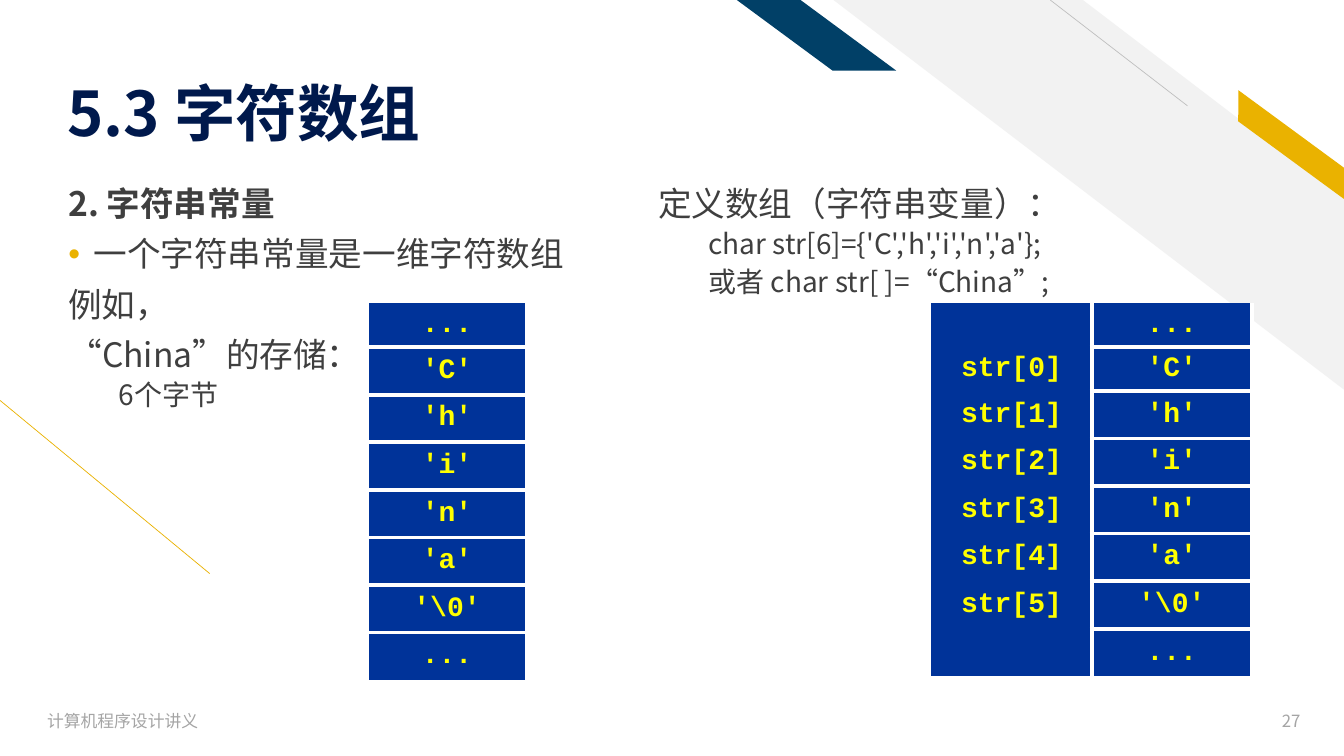
from dataclasses import dataclass
from typing import Any, Optional

from lxml import etree
from pptx import Presentation
from pptx.dml.color import RGBColor
from pptx.enum.lang import MSO_LANGUAGE_ID as Language
from pptx.enum.shapes import MSO_CONNECTOR as Connector, MSO_SHAPE as Preset
from pptx.enum.text import MSO_ANCHOR as Anchor, PP_ALIGN as Align
from pptx.oxml.ns import qn
from pptx.util import Pt

SANS, MONO = "Noto Sans CJK SC", "Courier New"
NAVY, GOLD, GREY, BODY = "00194C", "EAB200", "A5A5A5", "3F3F3F"
BLUE, YELLOW, WHITE = "003399", "FFFF00", "FFFFFF"
NO_TABLE_STYLE = "{2D5ABB26-0587-4C30-8999-92F81FD0307C}"
COLUMN_WIDTH, BORDER_WIDTH = 114.5, 3


@dataclass
class Band:
    preset: Any
    box: tuple[float, float, float, float]
    adjustment: float
    color: str
    rotation: float = 0


@dataclass
class Rule:
    start: tuple[float, float]
    end: tuple[float, float]
    color: str


@dataclass
class Line:
    text: str
    size: float = 24
    color: str = BODY
    bold: bool = False
    align: Any = Align.LEFT
    spacing: Optional[float] = 0.9
    before: float = 10
    level: int = 0
    bullet: bool = False


@dataclass
class TextBlock:
    box: tuple[float, float, float, float]
    lines: list[Line]
    anchor: Any = Anchor.TOP
    bottom: float = 3.6


@dataclass
class MemoryTable:
    left: float
    heights: list[float]
    labels: list[str]


def rgb(color: str) -> RGBColor:
    return RGBColor.from_string(color)


def set_font(font, name: str, size: float, color: str, bold: bool) -> None:
    values = {"name": name, "size": Pt(size), "bold": bold,
              "language_id": Language.SIMPLIFIED_CHINESE}
    for attribute, value in values.items():
        setattr(font, attribute, value)
    font.color.rgb = rgb(color)


def draw_band(slide, band: Band) -> None:
    shape = slide.shapes.add_shape(band.preset, *map(Pt, band.box))
    shape.shadow.inherit = False
    shape.adjustments[0] = band.adjustment
    shape.rotation = band.rotation
    shape.fill.solid()
    shape.fill.fore_color.rgb = rgb(band.color)
    shape.line.fill.background()
    shape.element.find(".//" + qn("a:xfrm")).set("flipH", "1")


def draw_rule(slide, rule: Rule) -> None:
    connector = slide.shapes.add_connector(
        Connector.STRAIGHT, *map(Pt, rule.start + rule.end))
    connector.line.color.rgb = rgb(rule.color)
    connector.line.width = Pt(0.5)
    etree.SubElement(connector.element.spPr, qn("a:effectLst"))


def add_bullet(paragraph) -> None:
    properties = paragraph._p.get_or_add_pPr()
    properties.set("marL", str(Pt(18)))
    properties.set("indent", str(Pt(-18)))
    bullet_color = etree.SubElement(properties, qn("a:buClr"))
    etree.SubElement(bullet_color, qn("a:srgbClr"), val=GOLD)
    etree.SubElement(properties, qn("a:buFont"), typeface="Arial")
    etree.SubElement(properties, qn("a:buChar"), char="•")


def draw_text(slide, block: TextBlock) -> None:
    frame = slide.shapes.add_textbox(*map(Pt, block.box)).text_frame
    values = {"word_wrap": True, "vertical_anchor": block.anchor,
              "margin_bottom": Pt(block.bottom)}
    for attribute, value in values.items():
        setattr(frame, attribute, value)
    for index, line in enumerate(block.lines):
        paragraph = frame.add_paragraph() if index else frame.paragraphs[0]
        values = {"alignment": line.align, "line_spacing": line.spacing,
                  "space_before": Pt(line.before), "level": line.level}
        for attribute, value in values.items():
            setattr(paragraph, attribute, value)
        if line.level:
            paragraph._p.get_or_add_pPr().set("marL", str(Pt(36 * line.level)))
        if line.bullet:
            add_bullet(paragraph)
        run = paragraph.add_run()
        run.text = line.text
        set_font(run.font, SANS, line.size, line.color, line.bold)
        latin = run.font._element.find(qn("a:latin"))
        latin.addnext(etree.Element(qn("a:ea"), typeface=SANS))


def add_borders(cell, sides: str) -> None:
    properties = cell._tc.get_or_add_tcPr()
    for side in sides:
        border = etree.SubElement(properties, qn(f"a:ln{side}"),
                                  w=str(Pt(BORDER_WIDTH)))
        fill = etree.SubElement(border, qn("a:solidFill"))
        etree.SubElement(fill, qn("a:srgbClr"), val=WHITE)


def fill_cell(cell, text: str) -> None:
    cell.fill.solid()
    cell.fill.fore_color.rgb = rgb(BLUE)
    cell.vertical_anchor = Anchor.MIDDLE
    if not text:
        return
    paragraph = cell.text_frame.paragraphs[0]
    paragraph.alignment = Align.CENTER
    before = etree.SubElement(paragraph._p.get_or_add_pPr(), qn("a:spcBef"))
    etree.SubElement(before, qn("a:spcPct"), val="20000")
    run = paragraph.add_run()
    run.text = text
    set_font(run.font, MONO, 20, YELLOW, True)


def draw_memory(slide, memory: MemoryTable, values: list[str]) -> None:
    frame = slide.shapes.add_table(
        len(values), 2, Pt(memory.left), Pt(216.7),
        Pt(2 * COLUMN_WIDTH), Pt(sum(memory.heights)))
    table = frame.table
    table.first_row = table.horz_banding = False
    next(frame.element.iter(qn("a:tableStyleId"))).text = NO_TABLE_STYLE
    for column in table.columns:
        column.width = Pt(COLUMN_WIDTH)
    last = len(values) - 1
    for row, (value, height) in enumerate(zip(values, memory.heights)):
        table.rows[row].height = Pt(height)
        label_cell, value_cell = table.cell(row, 0), table.cell(row, 1)
        if memory.labels:
            fill_cell(label_cell, memory.labels[row])
        else:
            label_cell.fill.background()
        add_borders(value_cell, "LR" + "T" * (row > 0) + "B" * (row < last))
        fill_cell(value_cell, value)


# Background decoration
RULES = [Rule((149.8, 409.7), (0, 286), GOLD),
         Rule((848.2, 75.6), (750.2, 0), "BFBFBF")]
BANDS = [
    Band(Preset.DIAGONAL_STRIPE, (595.4, 0, 365, 278.6), 0.512, "F2F2F2"),
    Band(Preset.PARALLELOGRAM, (869, 94.3, 106.6, 18), 0.72, GOLD, 36.3),
    Band(Preset.PARALLELOGRAM, (526.3, 0, 113.8, 50.4), 1.356, "014067"),
]

# Footer, title and the two body columns
SMALL = {"size": 12, "color": GREY, "spacing": None, "before": 0}
DETAIL = {"size": 20, "before": 5, "level": 1}
BLOCKS = [
    TextBlock((26.6, 500.4, 324, 28.8),
              [Line("计算机程序设计讲义", **SMALL)], Anchor.MIDDLE),
    TextBlock((877.7, 500.4, 58.3, 28.8),
              [Line("27", align=Align.RIGHT, **SMALL)], Anchor.MIDDLE),
    TextBlock((41, 16.6, 656, 90.7),
              [Line("5.3 字符数组", 44, NAVY, True, before=0)], Anchor.BOTTOM, 0),
    TextBlock((41.8, 130.3, 408.2, 356.4), [
        Line("2. 字符串常量", bold=True),
        Line("一个字符串常量是一维字符数组", bullet=True),
        Line("例如，"),
        Line("“China”的存储："),
        Line("6个字节", **DETAIL)]),
    TextBlock((463, 130.3, 431.3, 356.4), [
        Line("定义数组（字符串变量）："),
        Line("char str[6]={'C','h','i','n','a'};", **DETAIL),
        Line("或者 char str[ ]=“China”;", **DETAIL)]),
]

# Memory tables
VALUES = ["...", *(f"'{letter}'" for letter in "China"), r"'\0'", "..."]
LABELS = ["", *(f"str[{index}]" for index in range(6)), ""]
MEMORIES = [MemoryTable(147.6, [31] + [34] * 7, []),
            MemoryTable(665.3, [31] * 2 + [34] * 6, LABELS)]


def main() -> None:
    presentation = Presentation()
    presentation.slide_width, presentation.slide_height = Pt(960), Pt(540)
    slide = presentation.slides.add_slide(presentation.slide_layouts[6])
    for band in BANDS:
        draw_band(slide, band)
    for rule in RULES:
        draw_rule(slide, rule)
    for block in BLOCKS:
        draw_text(slide, block)
    for memory in MEMORIES:
        draw_memory(slide, memory, VALUES)
    presentation.save("out.pptx")


if __name__ == "__main__":
    main()
